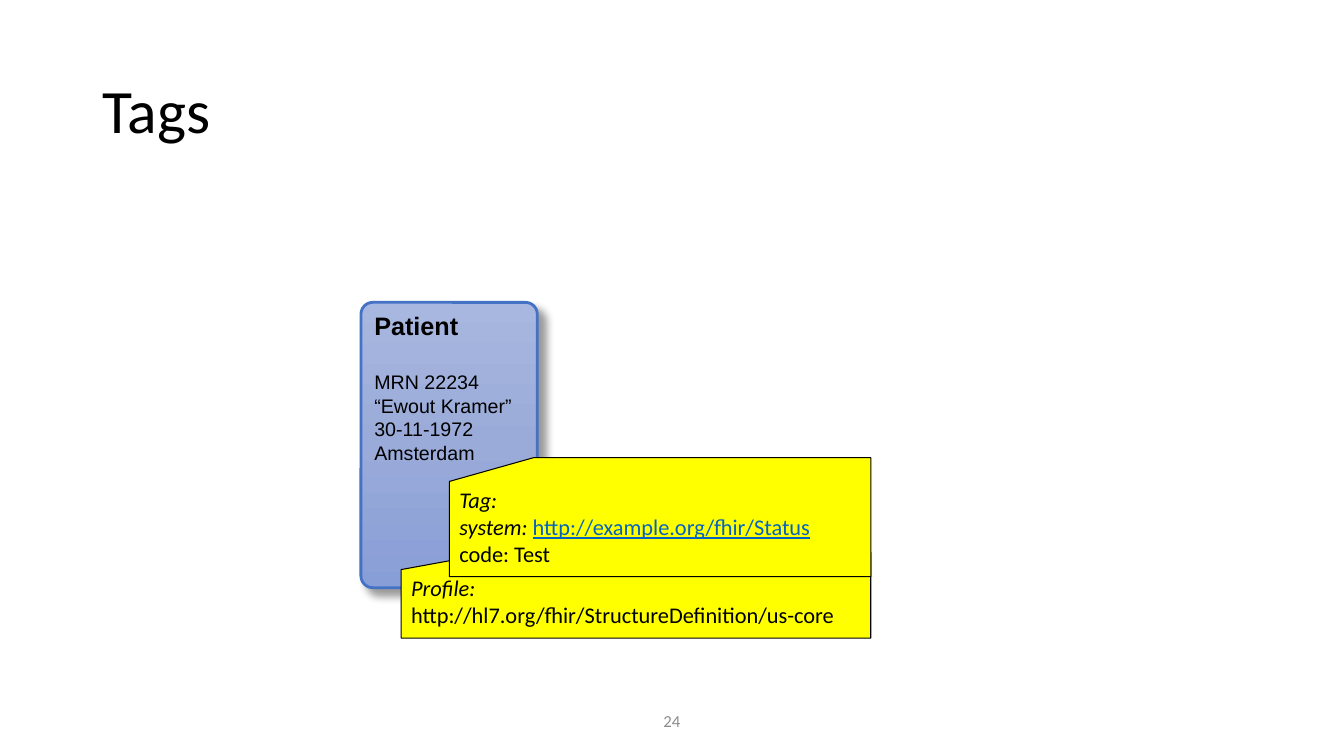
from copy import deepcopy

from lxml import etree
from pptx import Presentation
from pptx.dml.color import RGBColor
from pptx.enum.shapes import MSO_SHAPE
from pptx.enum.text import MSO_ANCHOR, PP_ALIGN
from pptx.oxml.ns import qn
from pptx.util import Pt

ROUNDED = MSO_SHAPE.ROUNDED_RECTANGLE
CARD = MSO_SHAPE.FLOWCHART_CARD
TOP, MIDDLE = MSO_ANCHOR.TOP, MSO_ANCHOR.MIDDLE
LEFT, CENTER = PP_ALIGN.LEFT, PP_ALIGN.CENTER

BLACK = RGBColor(0x00, 0x00, 0x00)
GRAY = RGBColor(0x8C, 0x8C, 0x8C)
YELLOW = RGBColor(0xFF, 0xFF, 0x00)
BLUE = RGBColor(0x44, 0x72, 0xC4)
LINK_BLUE = RGBColor(0x05, 0x63, 0xC1)
RECORD_SHADES = (RGBColor(0xA8, 0xB7, 0xDF), RGBColor(0x9A, 0xAB, 0xD9),
                 RGBColor(0x88, 0x9E, 0xD7))


class SlideBuilder:
    """Holds the text style and the current slide."""

    body_font = "Calibri"
    record_font = "Arial"

    def __init__(self, slide):
        self.slide = slide

    def run(self, paragraph, text, size, font=None, color=BLACK,
            bold=False, italic=False, underline=False):
        run = paragraph.add_run()
        run.text = text
        run.font.name = font or self.body_font
        run.font.size = Pt(size)
        run.font.color.rgb = color
        run.font.bold, run.font.italic = bold, italic
        run.font.underline = underline

    def title(self, text, left, top, width, height):
        title = self.slide.shapes.title
        title.left, title.top = Pt(left), Pt(top)
        title.width, title.height = Pt(width), Pt(height)
        title.text_frame.vertical_anchor = MIDDLE
        paragraph = title.text_frame.paragraphs[0]
        paragraph.alignment = LEFT
        paragraph.line_spacing = 0.9
        self.run(paragraph, text, 44)

    def page_number(self, text, left, top, width, height):
        box = self.slide.shapes.add_textbox(Pt(left), Pt(top), Pt(width), Pt(height))
        box.text_frame.word_wrap = True
        box.text_frame.vertical_anchor = MIDDLE
        paragraph = box.text_frame.paragraphs[0]
        paragraph.alignment = CENTER
        self.run(paragraph, text, 12, color=GRAY)

    def panel(self, preset, left, top, width, height, line_color, line_width):
        panel = self.slide.shapes.add_shape(preset, Pt(left), Pt(top), Pt(width), Pt(height))
        panel.shadow.inherit = False
        panel.line.color.rgb = line_color
        panel.line.width = Pt(line_width)
        panel.text_frame.word_wrap = True
        panel.text_frame.vertical_anchor = TOP
        return panel

    def record(self, heading, details, left, top, width, height):
        record = self.panel(ROUNDED, left, top, width, height, BLUE, 2)
        record.adjustments[0] = 0.067
        # Three-step vertical gradient
        record.fill.gradient()
        record.fill.gradient_angle = 270
        properties = record._element.spPr
        stop_list = properties.find(".//" + qn("a:gsLst"))
        stop_list.insert(1, deepcopy(stop_list[0]))
        for index, stop in enumerate(record.fill.gradient_stops):
            stop.position = index / 2
            stop.color.rgb = RECORD_SHADES[index]
        # Soft shadow to the lower right
        shadow = etree.SubElement(
            properties.find(qn("a:effectLst")), qn("a:outerShdw"),
            blurRad=str(Pt(6)), dist=str(Pt(7)), dir=str(45 * 60000),
            algn="tl", rotWithShape="0")
        shade = etree.SubElement(shadow, qn("a:srgbClr"), val=str(BLACK))
        etree.SubElement(shade, qn("a:alpha"), val="40000")
        # Heading and details
        frame = record.text_frame
        frame.paragraphs[0].alignment = LEFT
        self.run(frame.paragraphs[0], heading, 18, self.record_font, bold=True)
        for index, detail in enumerate(details):
            paragraph = frame.add_paragraph()
            paragraph.alignment = LEFT
            paragraph.space_before = Pt(0 if index else 20.7)
            self.run(paragraph, detail, 14, self.record_font)

    def card(self, lines, left, top, width, height):
        """Each line is a list of (text, run style) pairs."""
        card = self.panel(CARD, left, top, width, height, BLACK, 0.75)
        card.fill.solid()
        card.fill.fore_color.rgb = YELLOW
        frame = card.text_frame
        for index, line in enumerate(lines):
            paragraph = frame.add_paragraph() if index else frame.paragraphs[0]
            paragraph.alignment = LEFT
            for text, style in line:
                self.run(paragraph, text, 16, **style)


def main():
    deck = Presentation()
    deck.slide_width, deck.slide_height = Pt(960), Pt(540)
    builder = SlideBuilder(deck.slides.add_slide(deck.slide_layouts[5]))
    italic = {"italic": True}
    link = {"color": LINK_BLUE, "underline": True}

    # Title and page number
    builder.title("Tags", 66, 28.8, 828, 104.4)
    builder.page_number("24", 318, 500.4, 324, 28.8)

    # Patient record
    builder.record("Patient",
                   ["MRN 22234", "“Ewout Kramer”", "30-11-1972", "Amsterdam"],
                   257.8, 216, 126, 203.8)

    # Profile and tag cards, sharing their right edge
    right = 622
    for left, top, height, lines in (
        (286.6, 394.6, 61.2, [
            [("Profile:", italic)],
            [("http://hl7.org/fhir/StructureDefinition/us-core", {})]]),
        (321, 326.9, 85, [
            [("Tag:", italic)],
            [("system: ", italic), ("http://example.org/fhir/Status", link)],
            [("code: Test", {})]]),
    ):
        builder.card(lines, left, top, right - left, height)

    deck.save("out.pptx")


if __name__ == "__main__":
    main()
